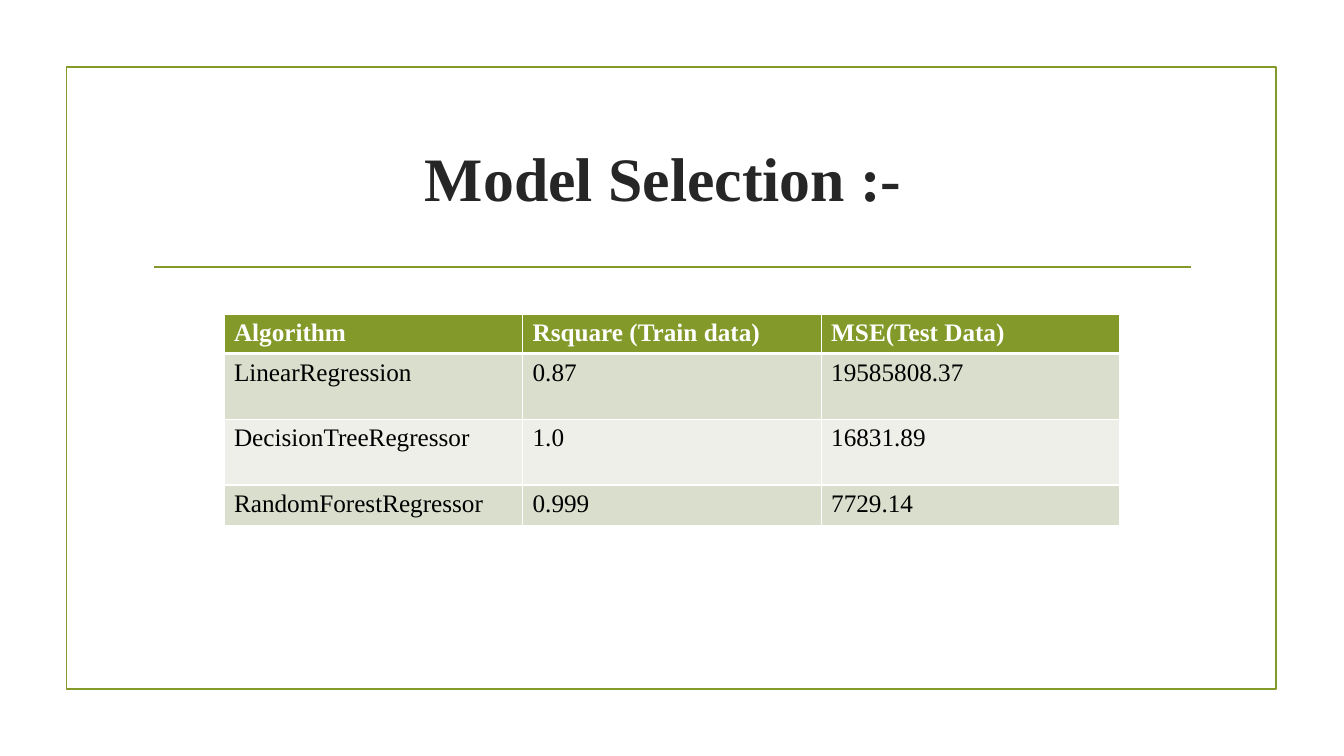
from dataclasses import dataclass

from lxml import etree
from pptx import Presentation
from pptx.dml.color import RGBColor
from pptx.enum import shapes, text
from pptx.oxml import ns
from pptx.util import Pt

FONT = "Times New Roman"
GREEN = "83992A"
WHITE = "FFFFFF"
BLACK = "000000"
INK = "262626"
COLUMN_WIDTH = 213.3


@dataclass
class Row:
    height: float
    fill: str
    cells: tuple[str, str, str]
    color: str = BLACK
    bold: bool = False
    rule_above: float = 1
    rule_below: float = 1


ROWS = [
    Row(27.9, GREEN, ("Algorithm", "Rsquare (Train data)", "MSE(Test Data)"),
        color=WHITE, bold=True, rule_below=3),
    Row(47, "D9DECD", ("LinearRegression", "0.87", "19585808.37"), rule_above=3),
    Row(47, "EDEFE8", ("DecisionTreeRegressor", "1.0", "16831.89")),
    Row(29.2, "D9DECD", ("RandomForestRegressor", "0.999", "7729.14")),
]


def rgb(value: str) -> RGBColor:
    return RGBColor.from_string(value)


def add_span(para, words: str, size: float, color: str, bold: bool) -> None:
    span = para.add_run()
    span.text = words
    span.font.name = FONT
    span.font.size = Pt(size)
    span.font.bold = bold
    span.font.color.rgb = rgb(color)


def style_line(line) -> None:
    line.color.rgb = rgb(GREEN)
    line.width = Pt(1.25)


def add_border(cell, side: str, width: float) -> None:
    properties = cell._tc.get_or_add_tcPr()
    border = etree.SubElement(properties, ns.qn(f"a:{side}"), w=str(Pt(width)))
    fill = etree.SubElement(border, ns.qn("a:solidFill"))
    etree.SubElement(fill, ns.qn("a:srgbClr"), val=WHITE)


def fill_cell(cell, words: str, row: Row) -> None:
    add_border(cell, "lnL", 1)
    add_border(cell, "lnR", 1)
    add_border(cell, "lnT", row.rule_above)
    add_border(cell, "lnB", row.rule_below)
    cell.fill.solid()
    cell.fill.fore_color.rgb = rgb(row.fill)
    add_span(cell.text_frame.paragraphs[0], words, 18, row.color, row.bold)


def add_frame(page) -> None:
    frame = page.shapes.add_shape(
        shapes.MSO_SHAPE.RECTANGLE, Pt(47.6), Pt(48), Pt(864), Pt(444))
    frame.shadow.inherit = False
    frame.fill.background()
    style_line(frame.line)


def add_divider(page) -> None:
    divider = page.shapes.add_connector(
        shapes.MSO_CONNECTOR.STRAIGHT, Pt(110), Pt(190.8), Pt(850.5), Pt(190.8))
    style_line(divider.line)
    etree.SubElement(divider._element.spPr, ns.qn("a:effectLst"))


def set_title(page) -> None:
    title = page.shapes.title
    title.left, title.top, title.width, title.height = Pt(60), Pt(93), Pt(828), Pt(66)
    box = title.text_frame
    box.word_wrap = True
    box.vertical_anchor = text.MSO_ANCHOR.MIDDLE
    para = box.paragraphs[0]
    para.alignment = text.PP_ALIGN.CENTER
    add_span(para, "Model Selection :-", 44.1, INK, True)


def add_scores(page) -> None:
    height = sum(row.height for row in ROWS)
    scores = page.shapes.add_table(
        len(ROWS), 3, Pt(160), Pt(224.6), Pt(3 * COLUMN_WIDTH), Pt(height)).table
    for column in scores.columns:
        column.width = Pt(COLUMN_WIDTH)
    for index, row in enumerate(ROWS):
        scores.rows[index].height = Pt(row.height)
        for cell, words in zip(scores.rows[index].cells, row.cells):
            fill_cell(cell, words, row)


def main() -> None:
    deck = Presentation()
    deck.slide_width, deck.slide_height = Pt(960), Pt(540)
    page = deck.slides.add_slide(deck.slide_layouts.get_by_name("Title Only"))
    page.background.fill.solid()
    page.background.fill.fore_color.rgb = rgb(WHITE)

    # Border and rule
    add_frame(page)
    add_divider(page)

    # Heading and model scores
    set_title(page)
    add_scores(page)
    deck.save("out.pptx")


if __name__ == "__main__":
    main()
